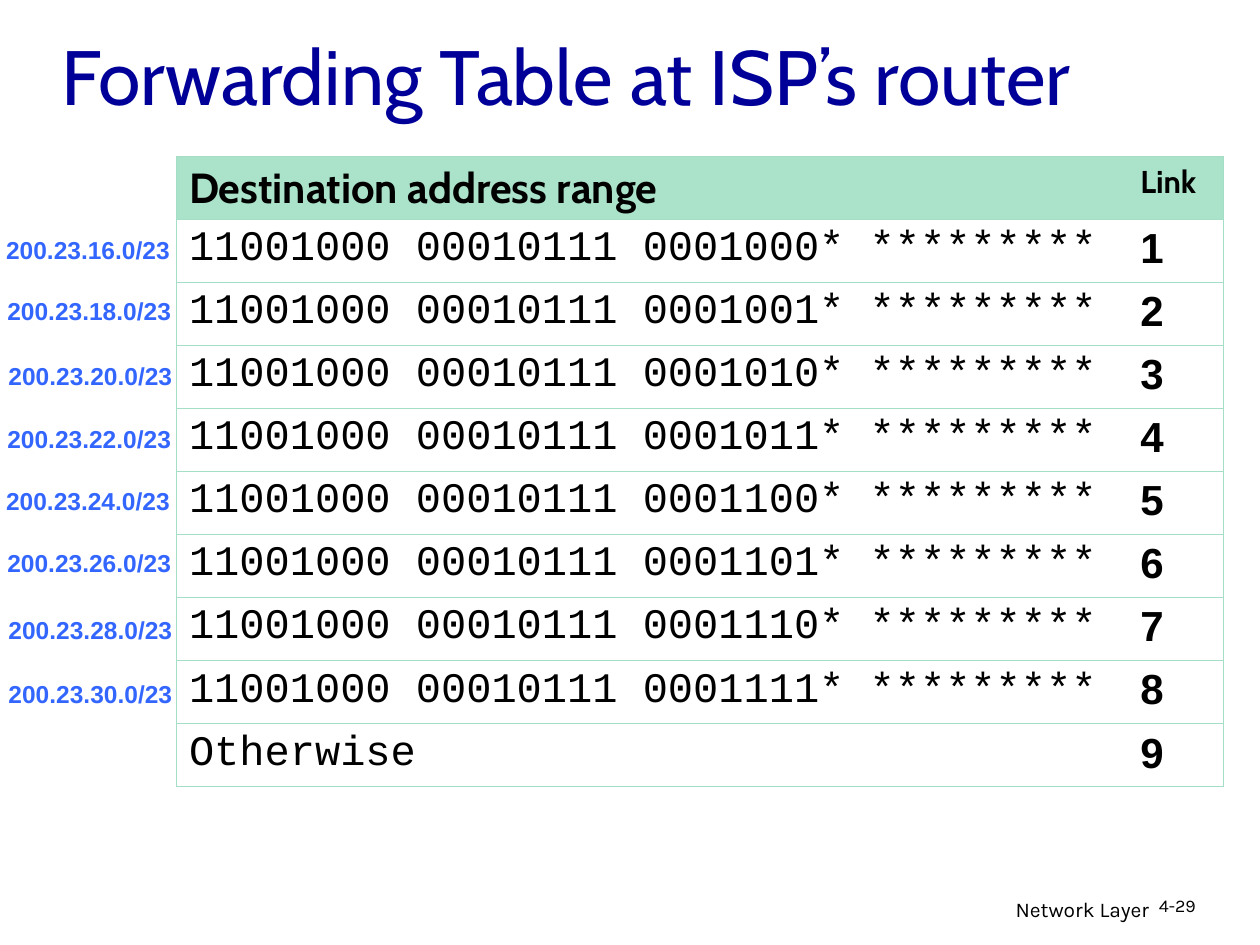
import dataclasses

import pptx
import pptx.dml.color
import pptx.enum.text
import pptx.oxml
import pptx.oxml.ns
import pptx.slide
import pptx.table
import pptx.text.text
import pptx.util

Pt = pptx.util.Pt
RGBColor = pptx.dml.color.RGBColor
Align = pptx.enum.text.PP_ALIGN
Anchor = pptx.enum.text.MSO_ANCHOR

NAVY = RGBColor(0x00, 0x00, 0x99)
BLUE = RGBColor(0x33, 0x66, 0xFF)
BLACK = RGBColor(0x00, 0x00, 0x00)
WHITE = RGBColor(0xFF, 0xFF, 0xFF)
MINT = RGBColor(0xAA, 0xE2, 0xCA)
BORDER = RGBColor(0xA5, 0xDE, 0xC6)

BORDER_WIDTH = Pt(0.34)
ROW_HEIGHT = 36
COLUMN_WIDTHS = (543.6, 54.7)


@dataclasses.dataclass(frozen=True)
class Style:
    font: str
    size: float
    color: RGBColor = BLACK
    bold: bool = False


@dataclasses.dataclass(frozen=True)
class Route:
    """One forwarding entry; left and top place its prefix label."""
    third_octet: int
    left: float
    top: float


TITLE = Style("Cabin", 44, NAVY)
HEADING = Style("Cabin", 24, bold=True)
LINK_HEADING = Style("Cabin", 18, bold=True)
ADDRESS = Style("Courier New", 24)
LINK = Style("Arial", 24, bold=True)
PREFIX = Style("Arial", 14, BLUE, bold=True)
FOOTER = Style("Karla", 12)
PAGE_NUMBER = Style("Karla", 10.2)

ROUTES = (
    Route(16, -3.6, 131),
    Route(18, -2.9, 165.6),
    Route(20, -2.2, 203),
    Route(22, -2.9, 239),
    Route(24, -3.6, 274.3),
    Route(26, -2.9, 309.6),
    Route(28, -2.2, 347.8),
    Route(30, -2.2, 384.5),
)


def write(frame: pptx.text.text.TextFrame, text: str, style: Style) -> None:
    span = frame.paragraphs[0].add_run()
    span.text = text
    span.font.name = style.font
    span.font.size = Pt(style.size)
    span.font.bold = style.bold
    span.font.color.rgb = style.color


def add_text(page: pptx.slide.Slide, left: float, top: float, width: float,
             height: float, text: str, style: Style,
             wrap: bool = True) -> pptx.text.text.TextFrame:
    box = page.shapes.add_textbox(Pt(left), Pt(top), Pt(width), Pt(height))
    box.text_frame.word_wrap = wrap
    write(box.text_frame, text, style)
    return box.text_frame


def set_borders(cell: pptx.table._Cell, visible: str) -> None:
    """Draw the sides named in visible (L, R, T, B) and blank the others."""
    properties = cell._tc.get_or_add_tcPr()
    for index, side in enumerate("LRTB"):
        paint = "<a:noFill/>"
        if side in visible:
            paint = f'<a:solidFill><a:srgbClr val="{BORDER}"/></a:solidFill>'
        line = pptx.oxml.parse_xml(
            f'<a:ln{side} {pptx.oxml.ns.nsdecls("a")} w="{BORDER_WIDTH}">'
            f"{paint}</a:ln{side}>")
        properties.insert(index, line)


def fill_cell(cell: pptx.table._Cell, text: str, style: Style,
              background: RGBColor, borders: str) -> None:
    cell.fill.solid()
    cell.fill.fore_color.rgb = background
    set_borders(cell, borders)
    write(cell.text_frame, text, style)


def add_forwarding_table(page: pptx.slide.Slide) -> None:
    addresses = [f"11001000 00010111 {route.third_octet // 2:07b}* *********"
                 for route in ROUTES] + ["Otherwise"]
    row_count = len(addresses) + 1
    table = page.shapes.add_table(
        row_count, 2, Pt(100.8), Pt(89.3), Pt(sum(COLUMN_WIDTHS)),
        Pt(ROW_HEIGHT * row_count)).table
    for column, width in zip(table.columns, COLUMN_WIDTHS):
        column.width = Pt(width)
    for row in table.rows:
        row.height = Pt(ROW_HEIGHT)
    fill_cell(table.cell(0, 0), "Destination address range", HEADING, MINT, "LTB")
    fill_cell(table.cell(0, 1), "Link", LINK_HEADING, MINT, "RTB")
    for link, address in enumerate(addresses, start=1):
        fill_cell(table.cell(link, 0), address, ADDRESS, WHITE, "LTB")
        fill_cell(table.cell(link, 1), str(link), LINK, WHITE, "RTB")


def add_title(page: pptx.slide.Slide, text: str) -> None:
    title = page.shapes.title
    title.left, title.top = Pt(28.1), Pt(7.2)
    title.width, title.height = Pt(612), Pt(71.3)
    frame = title.text_frame
    frame.vertical_anchor = Anchor.MIDDLE
    frame.auto_size = pptx.enum.text.MSO_AUTO_SIZE.NONE
    frame.paragraphs[0].alignment = Align.LEFT
    write(frame, text, TITLE)


def main() -> None:
    deck = pptx.Presentation()
    deck.slide_width, deck.slide_height = Pt(720), Pt(540)
    page = deck.slides.add_slide(deck.slide_layouts.get_by_name("Title Only"))
    footer = add_text(page, 435.6, 509, 228.2, 22.3, "Network Layer", FOOTER)
    footer.paragraphs[0].alignment = Align.RIGHT
    number = add_text(page, 655.2, 509, 53.3, 21.6, "4-29", PAGE_NUMBER)
    number.paragraphs[0].line_spacing = 0.9
    add_title(page, "Forwarding Table at ISP’s router")
    add_forwarding_table(page)
    for route in ROUTES:
        add_text(page, route.left, route.top, 108, 24.5,
                 f"200.23.{route.third_octet}.0/23", PREFIX, wrap=False)
    deck.save("out.pptx")


if __name__ == "__main__":
    main()
